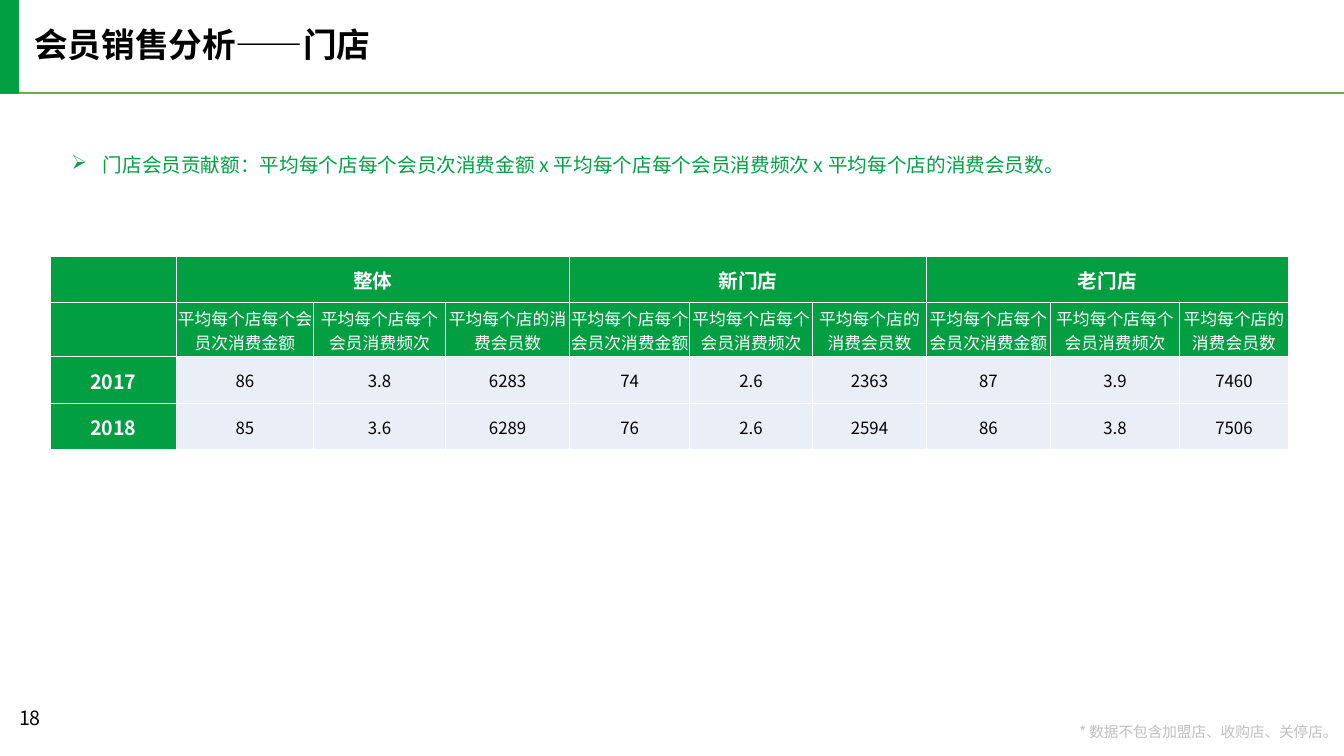
from lxml import etree
from pptx import Presentation, util as u
from pptx.dml.color import RGBColor
from pptx.enum import shapes, text
from pptx.oxml.ns import qn

PX = 9144  # EMU in one px, 100 px to the inch
FONT = "Noto Sans CJK SC"
GREEN, PALE, WHITE, BLACK = "029E42", "EAEFF7", "FFFFFF", "000000"


def color(value):
    return RGBColor.from_string(value)


def write(frame, words, size, font_color, bold=False, **paragraph_format):
    """Put one formatted paragraph into a text frame and return it."""
    paragraph = frame.paragraphs[0]
    for name, value in paragraph_format.items():
        setattr(paragraph, name, value)
    run = paragraph.add_run()
    run.text = words
    for name, value in {"name": FONT, "size": u.Pt(size), "bold": bold}.items():
        setattr(run.font, name, value)
    run.font.color.rgb = color(font_color)
    latin = run.font._element.find(qn("a:latin"))
    latin.addnext(latin.makeelement(qn("a:ea"), {"typeface": FONT}))
    return paragraph


presentation = Presentation()
presentation.slide_width = 1333 * PX
presentation.slide_height = 750 * PX
slide = presentation.slides.add_slide(presentation.slide_layouts[6])

# Header rule and bar
rule = slide.shapes.add_connector(
    shapes.MSO_CONNECTOR.STRAIGHT, 0, 92 * PX, 1333 * PX, 92 * PX)
rule.line.color.rgb = color("70AD47")
rule.line.width = u.Pt(1.5)
etree.SubElement(rule._element.spPr, qn("a:effectLst"))

bar = slide.shapes.add_shape(
    shapes.MSO_SHAPE.RECTANGLE, 0, -1 * PX, 19 * PX, 94 * PX)
bar.shadow.inherit = False
bar.fill.solid()
bar.fill.fore_color.rgb = color(GREEN)
bar.line.fill.background()

# Title, formula, footnote and page number
MIDDLE, TOP = text.MSO_ANCHOR.MIDDLE, text.MSO_ANCHOR.TOP
RIGHT, LEFT, CENTER = text.PP_ALIGN.RIGHT, text.PP_ALIGN.LEFT, text.PP_ALIGN.CENTER
formula = ("门店会员贡献额：平均每个店每个会员次消费金额 x "
           "平均每个店每个会员消费频次 x 平均每个店的消费会员数。")
text_boxes = [
    # words, box, size, colour, bold, alignment, line spacing, anchor, wrap, insets
    ("会员销售分析——门店", (34, 28, 629, 36), 24, BLACK, True, LEFT, 0.9, MIDDLE, True, (0, 0)),
    ("* 数据不包含加盟店、收购店、关停店。", (1066, 719, 261, 16), 10.5, "BFBFBF", False,
     RIGHT, 0.9, MIDDLE, False, (0, 0)),
    ("18", (9, 695, 91, 40), 14, BLACK, False, LEFT, 1.0, TOP, True, (10, 5)),
    (formula, (71, 140, 1125, 78), 14, "01A145", False, LEFT, 1.5, TOP, True, (0, 0)),
]
for words, box, size, font_color, bold, alignment, spacing, anchor, wrap, insets in text_boxes:
    frame = slide.shapes.add_textbox(*(value * PX for value in box)).text_frame
    across, down = (value * PX for value in insets)
    frame_format = {"word_wrap": wrap, "vertical_anchor": anchor,
                    "margin_left": across, "margin_right": across,
                    "margin_top": down, "margin_bottom": down}
    for name, value in frame_format.items():
        setattr(frame, name, value)
    paragraph = write(frame, words, size, font_color, bold,
                      alignment=alignment, line_spacing=spacing)
    if words == formula:
        properties = paragraph._p.get_or_add_pPr()
        properties.set("marL", str(31 * PX))
        properties.set("indent", str(-31 * PX))
        etree.SubElement(properties, qn("a:buChar"), char="➢")

# Store table
groups = ["整体", "新门店", "老门店"]
measures = ["平均每个店每个会员次消费金额", "平均每个店每个会员消费频次", "平均每个店的消费会员数"]
rows = [
    [""] + [words for group in groups for words in (group, "", "")],
    [""] + measures * len(groups),
    ["2017", "86", "3.8", "6283", "74", "2.6", "2363", "87", "3.9", "7460"],
    ["2018", "85", "3.6", "6289", "76", "2.6", "2594", "86", "3.8", "7506"],
]
widths = [125, 136, 131, 123, 119, 122, 113, 123, 128, 108]
heights = [46, 54, 46, 46]
table = slide.shapes.add_table(
    len(rows), len(widths), 50 * PX, 254 * PX, sum(widths) * PX, sum(heights) * PX).table
for column, width in zip(table.columns, widths):
    column.width = width * PX
for table_row, height in zip(table.rows, heights):
    table_row.height = height * PX

for i, row in enumerate(rows):
    for j, words in enumerate(row):
        cell = table.cell(i, j)
        is_header = i < 2 or j == 0
        cell_format = {"vertical_anchor": MIDDLE, "margin_left": PX, "margin_right": PX,
                       "margin_top": PX, "margin_bottom": 0}
        for name, value in cell_format.items():
            setattr(cell, name, value)
        cell.fill.solid()
        cell.fill.fore_color.rgb = color(GREEN if is_header else PALE)
        if words:
            is_bold = i == 0 or j == 0
            write(cell.text_frame, words, 14 if is_bold else 12,
                  WHITE if is_header else BLACK, is_bold, alignment=CENTER)
        properties = cell._tc.get_or_add_tcPr()
        for k, side in enumerate(["lnL", "lnR", "lnT", "lnB"]):
            border = properties.makeelement(qn("a:" + side), {"w": str(u.Pt(1))})
            fill = etree.SubElement(border, qn("a:solidFill"))
            etree.SubElement(fill, qn("a:srgbClr"), val=WHITE)
            properties.insert(k, border)

for first in range(1, len(widths), len(measures)):
    table.cell(0, first).merge(table.cell(0, first + len(measures) - 1))

presentation.save("out.pptx")
